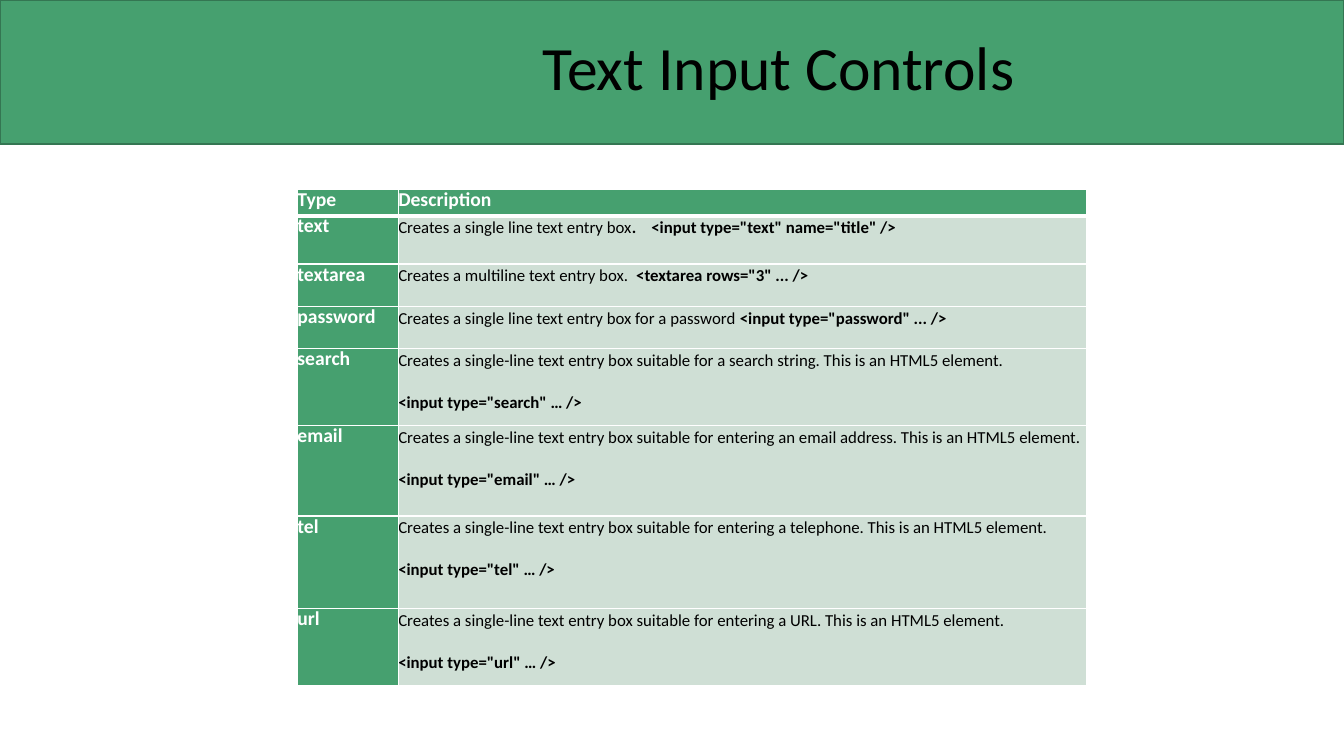
"""Build the slide listing HTML text input controls."""
import dataclasses
from typing import Any

import lxml.etree
import pptx
import pptx.dml.color
import pptx.enum.shapes
import pptx.enum.text
import pptx.oxml.ns
import pptx.util

Inches = pptx.util.Inches
Pt = pptx.util.Pt
RGB = pptx.dml.color.RGBColor.from_string


@dataclasses.dataclass(frozen=True)
class Theme:
    """Colours and type sizes of the slide."""

    font: str = "Calibri"
    green: str = "46A06F"
    dark_green: str = "347652"
    pale_green: str = "CFDFD5"
    white: str = "FFFFFF"
    black: str = "000000"
    title_size: float = 44
    label_size: float = 14
    body_size: float = 12


@dataclasses.dataclass(frozen=True)
class Control:
    """One input control: name, row height, description and sample code."""

    name: str
    height: float
    description: str
    code: str
    inline: bool = False
    tab: float = 0


@dataclasses.dataclass(frozen=True)
class Span:
    """A stretch of text with one weight."""

    text: str
    bold: bool = True


THEME = Theme()
HEADER_HEIGHT = 0.26
SINGLE = "Creates a single-line text entry box suitable for "
HTML5 = " This is an HTML5 element."
CONTROLS = [
    Control("text", 0.48, "Creates a single line text entry box",
            '.\t<input type="text" name="title" />', True, 2.51),
    Control("textarea", 0.42, "Creates a multiline text entry box.",
            '\t<textarea rows="3" ... />', True, 2.36),
    Control("password", 0.42, "Creates a single line text entry box for a password ",
            '<input type="password" ... />', True),
    Control("search", 0.76, f"{SINGLE}a search string.{HTML5}", '<input type="search" … />'),
    Control("email", 0.9, f"{SINGLE}entering an email address.{HTML5}", '<input type="email" … />'),
    Control("tel", 0.92, f"{SINGLE}entering a telephone.{HTML5}", '<input type="tel" … />'),
    Control("url", 0.76, f"{SINGLE}entering a URL.{HTML5}", '<input type="url" … />'),
]


def apply_format(target: Any, values: dict[str, Any]) -> None:
    """Set every attribute named in the dict."""
    for name, value in values.items():
        setattr(target, name, value)


def add_span(para: Any, span: Span, size: float, colour: str) -> None:
    """Add a formatted run to a paragraph."""
    run = para.add_run()
    run.text = span.text
    apply_format(run.font, {"name": THEME.font, "size": Pt(size), "bold": span.bold})
    run.font.color.rgb = RGB(colour)


def add_tab_stop(para: Any, position: float) -> None:
    """Add a left tab stop to a paragraph."""
    name = pptx.oxml.ns.qn
    stops = lxml.etree.SubElement(para._p.get_or_add_pPr(), name("a:tabLst"))
    lxml.etree.SubElement(stops, name("a:tab"), pos=str(Inches(position)), algn="l")


def add_borders(cell: Any, widths: dict[str, float]) -> None:
    """Draw white borders with the given widths by side."""
    name = pptx.oxml.ns.qn
    properties = cell._tc.get_or_add_tcPr()
    for side, width in widths.items():
        line = lxml.etree.SubElement(properties, name(f"a:ln{side}"), w=str(Pt(width)))
        fill = lxml.etree.SubElement(line, name("a:solidFill"))
        lxml.etree.SubElement(fill, name("a:srgbClr"), val=THEME.white)


def fill_cell(cell: Any, lines: list[list[Span]], size: float, colour: str, fill: str,
              widths: dict[str, float], after: float = 7, tab: float = 0) -> None:
    """Format a table cell and write its paragraphs."""
    sides = ("left", "right", "top", "bottom")
    apply_format(cell, {f"margin_{side}": 0 for side in sides})
    cell.vertical_anchor = pptx.enum.text.MSO_ANCHOR.TOP
    add_borders(cell, widths)
    cell.fill.solid()
    cell.fill.fore_color.rgb = RGB(fill)
    frame = cell.text_frame
    for index, spans in enumerate(lines):
        para = frame.add_paragraph() if index else frame.paragraphs[0]
        if tab:
            add_tab_stop(para, tab)
        apply_format(para, {"line_spacing": Pt(16), "space_before": Pt(7 if index else 0),
                            "space_after": Pt(after)})
        for span in spans:
            add_span(para, span, size, colour)


def add_header(page: Any, width: int) -> None:
    """Draw the green band and put the title over it."""
    band = page.shapes.add_shape(pptx.enum.shapes.MSO_SHAPE.RECTANGLE, 0, 0, width, Inches(1.43))
    band.shadow.inherit = False
    band.fill.solid()
    band.fill.fore_color.rgb = RGB(THEME.green)
    band.line.color.rgb = RGB(THEME.dark_green)
    band.line.width = Pt(1)
    title = page.shapes.title
    band.element.addnext(title.element)
    apply_format(title, {"left": Inches(5.28), "top": Inches(0.14),
                         "width": Inches(11.33), "height": Inches(1.12)})
    apply_format(title.text_frame, {"vertical_anchor": pptx.enum.text.MSO_ANCHOR.MIDDLE,
                                    "auto_size": pptx.enum.text.MSO_AUTO_SIZE.NONE,
                                    "word_wrap": True})
    para = title.text_frame.paragraphs[0]
    apply_format(para, {"alignment": pptx.enum.text.PP_ALIGN.LEFT, "line_spacing": 0.9})
    add_span(para, Span("Text Input Controls", False), THEME.title_size, THEME.black)


def add_control_table(page: Any) -> None:
    """Draw the table of controls."""
    heights = [HEADER_HEIGHT] + [control.height for control in CONTROLS]
    table = page.shapes.add_table(len(heights), 2, Inches(2.95), Inches(1.88),
                                  Inches(7.83), Inches(sum(heights))).table
    for column, width in zip(table.columns, (1, 6.83)):
        column.width = Inches(width)
    for row, height in zip(table.rows, heights):
        row.height = Inches(height)
    thin = dict.fromkeys("LRTB", 1)
    for index, heading in enumerate(("Type", "Description")):
        fill_cell(table.cell(0, index), [[Span(heading)]], THEME.label_size, THEME.white,
                  THEME.green, thin | {"B": 3}, after=14)
    for index, control in enumerate(CONTROLS, start=1):
        widths = thin | {"T": 3 if index == 1 else 1}
        fill_cell(table.cell(index, 0), [[Span(control.name)]], THEME.label_size, THEME.white,
                  THEME.green, widths)
        description, code = Span(control.description, False), Span(control.code)
        lines = [[description, code]] if control.inline else [[description], [code]]
        fill_cell(table.cell(index, 1), lines, THEME.body_size, THEME.black,
                  THEME.pale_green, widths, tab=control.tab)


def main() -> None:
    """Build and save the deck."""
    deck = pptx.Presentation()
    apply_format(deck, {"slide_width": Inches(13.33), "slide_height": Inches(7.5)})
    page = deck.slides.add_slide(deck.slide_layouts.get_by_name("Title Only"))
    add_header(page, deck.slide_width)
    add_control_table(page)
    deck.save("out.pptx")


if __name__ == "__main__":
    main()
